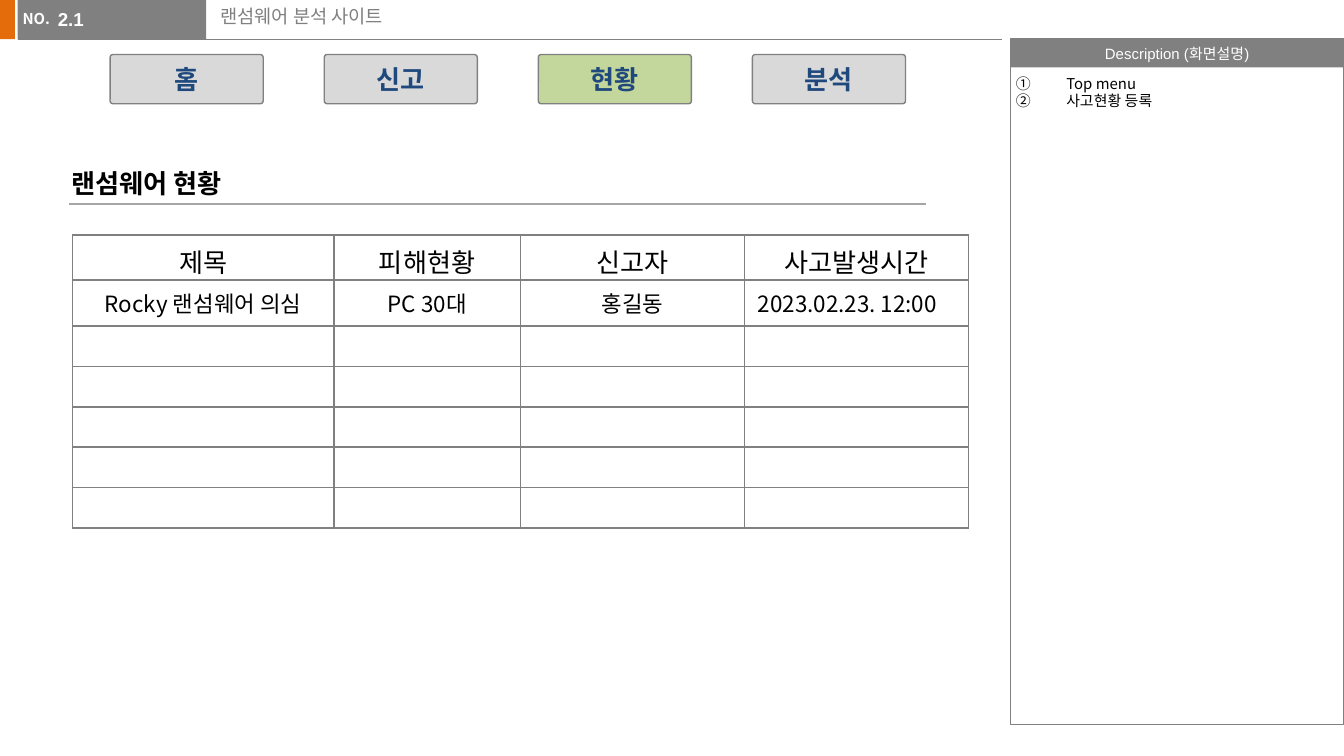
import pptx
import pptx.chart.data
import pptx.dml.color
import pptx.enum.shapes
import pptx.enum.text
import pptx.oxml
import pptx.oxml.ns
import pptx.util
from lxml import etree

Pt = pptx.util.Pt
SHAPE = pptx.enum.shapes.MSO_SHAPE
ALIGN = pptx.enum.text.PP_ALIGN
ANCHOR = pptx.enum.text.MSO_ANCHOR
AUTO_SIZE = pptx.enum.text.MSO_AUTO_SIZE
qn = pptx.oxml.ns.qn

# Content
PAGE_LABEL = "NO."
PAGE_NUMBER = "2.1"
SITE_TITLE = "랜섬웨어 분석 사이트"
DESCRIPTION_HEADING = "Description (화면설명)"
DESCRIPTIONS = ["Top menu", "사고현황 등록"]
MENU = ["홈", "신고", "현황", "분석"]
ACTIVE_MENU = "현황"
SECTION_TITLE = "랜섬웨어 현황"
INCIDENTS = [
    ["제목", "피해현황", "신고자", "사고발생시간"],
    ["Rocky 랜섬웨어 의심", "PC 30대", "홍길동", "2023.02.23. 12:00"],
]
EMPTY_ROWS = 5

THEME = {
    "korean": "Noto Sans CJK KR", "latin": "Arial",
    "small": 8, "normal": 10, "cell": 12, "large": 14,
    "orange": "E46C0A", "gray": "808080", "rule": "A6A6A6",
    "button": "D9D9D9", "active": "C3D69B", "navy": "1F497D",
    "white": "FFFFFF", "black": "000000",
}

# Layout in points
COLUMN_WIDTHS = [140, 100, 120, 120]
ROW_HEIGHTS = [24.1, 24.6] + [21.65] * EMPTY_ROWS
BUTTON_LEFT, BUTTON_PITCH = 59, 114.7
PANEL_LEFT, PANEL_WIDTH, HEADER_HEIGHT = 541.3, 178.7, 21


def rgb(name):
    return pptx.dml.color.RGBColor.from_string(THEME[name])


def points(*lengths):
    return [Pt(length) for length in lengths]


def add_text(paragraph, text, size, color, font="korean", bold=False):
    run = paragraph.add_run()
    run.text = text
    run.font.size = Pt(THEME[size])
    run.font.name = THEME[font]
    run.font.bold = bold
    run.font.color.rgb = rgb(color)
    if font == "korean":
        latin = run.font._element.find(qn("a:latin"))
        east_asian = etree.Element(qn("a:ea"), typeface=THEME[font])
        latin.addnext(east_asian)


def add_box(slide, kind, box, fill=None, line=None):
    shape = slide.shapes.add_shape(kind, *points(*box))
    shape.shadow.inherit = False
    if fill:
        shape.fill.solid()
        shape.fill.fore_color.rgb = rgb(fill)
    else:
        shape.fill.background()
    if line:
        shape.line.color.rgb = rgb(line)
        shape.line.width = Pt(0.75)
    else:
        shape.line.fill.background()
    return shape


def center_text(shape, *text_style):
    frame = shape.text_frame
    frame.vertical_anchor = ANCHOR.MIDDLE
    frame.paragraphs[0].alignment = ALIGN.CENTER
    add_text(frame.paragraphs[0], *text_style)


def add_rule(slide, left, right, top, color, width):
    rule = slide.shapes.add_connector(
        pptx.enum.shapes.MSO_CONNECTOR.STRAIGHT, *points(left, top, right, top))
    rule.line.color.rgb = rgb(color)
    rule.line.width = Pt(width)
    etree.SubElement(rule.element.spPr, qn("a:effectLst"))


def add_label(slide, box, *text_style, line_spacing=1.0):
    frame = slide.shapes.add_textbox(*points(*box)).text_frame
    frame.word_wrap = False
    frame.paragraphs[0].line_spacing = line_spacing
    add_text(frame.paragraphs[0], *text_style)


def place_placeholder(placeholder, box, left_inset, right_inset=0):
    """Move a placeholder above the shapes drawn so far and return its text frame."""
    placeholder.left, placeholder.top, placeholder.width, placeholder.height = points(*box)
    tree = placeholder.element.getparent()
    tree.append(placeholder.element)
    frame = placeholder.text_frame
    frame.auto_size = AUTO_SIZE.NONE
    frame.word_wrap = True
    frame.vertical_anchor = ANCHOR.TOP
    frame.margin_left, frame.margin_right = points(left_inset, right_inset)
    frame.margin_top = frame.margin_bottom = Pt(3.6)
    return frame


def set_bullet(paragraph, tag, indent=0, **attributes):
    properties = paragraph._p.get_or_add_pPr()
    properties.set("marL", str(int(Pt(indent))))
    properties.set("indent", str(-int(Pt(indent))))
    etree.SubElement(properties, qn(tag), **attributes)


def add_frame(slide):
    add_box(slide, SHAPE.RECTANGLE, (-0.5, 0, 8.5, 21), "orange")
    add_rule(slide, 9.4, 537, 21, "gray", 0.5)
    add_box(slide, SHAPE.RECTANGLE, (9.4, 0, 101, 21), "gray")
    add_label(slide, (5, 1.5, 29.5, 17), PAGE_LABEL, "small", "white", "korean", True)
    heading = add_box(slide, SHAPE.RECTANGLE,
                      (PANEL_LEFT, HEADER_HEIGHT, PANEL_WIDTH, 15.2), "gray")
    heading.text_frame.word_wrap = False
    center_text(heading, DESCRIPTION_HEADING, "small", "white", "latin")
    add_box(slide, SHAPE.RECTANGLE,
            (PANEL_LEFT, HEADER_HEIGHT, PANEL_WIDTH, 367.2), line="gray")


def fill_placeholders(slide):
    title, descriptions, number = slide.placeholders

    frame = place_placeholder(title, (110.9, 1.4, 425.5, 23), 7.2, 7.2)
    paragraph = frame.paragraphs[0]
    paragraph.alignment = ALIGN.LEFT
    paragraph.line_spacing = 0.8
    add_text(paragraph, SITE_TITLE, "normal", "gray")

    frame = place_placeholder(descriptions, (PANEL_LEFT, 38.2, PANEL_WIDTH, 351), 2.9)
    for index, text in enumerate(DESCRIPTIONS):
        paragraph = frame.add_paragraph() if index else frame.paragraphs[0]
        paragraph.line_spacing = 0.8
        paragraph.space_before = Pt(1.6)
        set_bullet(paragraph, "a:buAutoNum", 27, type="circleNumDbPlain")
        add_text(paragraph, text, "small", "black")

    frame = place_placeholder(number, (31, 0.7, 79, 22.3), 0)
    paragraph = frame.paragraphs[0]
    paragraph.space_before = Pt(2)
    set_bullet(paragraph, "a:buNone")
    add_text(paragraph, PAGE_NUMBER, "normal", "white", "latin", True)


def add_menu(slide):
    for index, text in enumerate(MENU):
        button = add_box(slide, SHAPE.ROUNDED_RECTANGLE,
                         (BUTTON_LEFT + index * BUTTON_PITCH, 29.2, 82, 26.4),
                         "active" if text == ACTIVE_MENU else "button", "gray")
        button.adjustments[0] = 0.06
        center_text(button, text, "large", "navy", "latin", True)


def set_borders(cell):
    properties = cell._tc.get_or_add_tcPr()
    for index, side in enumerate(("lnL", "lnR", "lnT", "lnB")):
        border = etree.Element(qn("a:" + side), w=str(int(Pt(1))))
        fill = etree.SubElement(border, qn("a:solidFill"))
        etree.SubElement(fill, qn("a:srgbClr"), val=THEME["gray"])
        properties.insert(index, border)


def add_incident_table(slide):
    table = slide.shapes.add_table(
        len(ROW_HEIGHTS), len(COLUMN_WIDTHS),
        *points(38.9, 126, sum(COLUMN_WIDTHS), sum(ROW_HEIGHTS))).table
    table.first_row = table.horz_banding = False
    for column, width in zip(table.columns, COLUMN_WIDTHS):
        column.width = Pt(width)
    for row_index, height in enumerate(ROW_HEIGHTS):
        table.rows[row_index].height = Pt(height)
        for column_index in range(len(COLUMN_WIDTHS)):
            cell = table.cell(row_index, column_index)
            cell.fill.solid()
            cell.fill.fore_color.rgb = rgb("white")
            cell.margin_top, cell.margin_bottom = points(3.6, 0)
            set_borders(cell)
            paragraph = cell.text_frame.paragraphs[0]
            if row_index >= len(INCIDENTS):
                etree.SubElement(paragraph._p, qn("a:endParaRPr"),
                                 sz=str(THEME["small"] * 100))
                continue
            is_time = row_index > 0 and column_index == len(COLUMN_WIDTHS) - 1
            paragraph.alignment = ALIGN.LEFT if is_time else ALIGN.CENTER
            add_text(paragraph, INCIDENTS[row_index][column_index],
                     "cell" if row_index else "large", "black")


def main():
    presentation = pptx.Presentation()
    presentation.slide_width, presentation.slide_height = points(720, 405)
    slide = presentation.slides.add_slide(
        presentation.slide_layouts.get_by_name("Two Content"))
    add_frame(slide)
    fill_placeholders(slide)
    add_label(slide, (31, 77.8, 104.4, 29.5),
              SECTION_TITLE, "large", "black", "latin", True, line_spacing=1.5)
    add_rule(slide, 36.9, 496, 109.3, "rule", 1)
    add_menu(slide)
    add_incident_table(slide)
    presentation.save("out.pptx")


if __name__ == "__main__":
    main()
